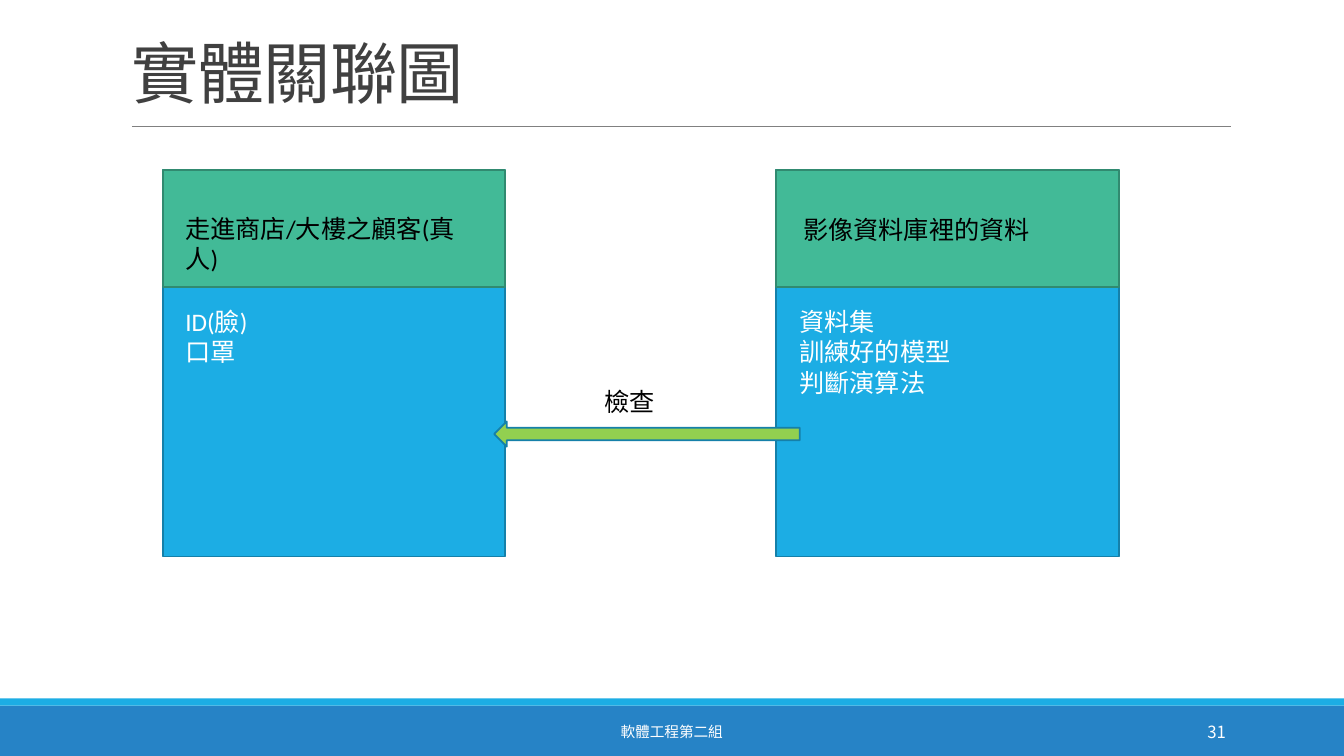
from pptx import Presentation
from pptx.dml.color import RGBColor
from pptx.enum.shapes import MSO_CONNECTOR, MSO_SHAPE
from pptx.enum.text import MSO_ANCHOR, MSO_AUTO_SIZE, PP_ALIGN
from pptx.util import Pt
from lxml.etree import SubElement
from pptx.oxml.ns import qn

HUES = {
    "blue": "1CADE4", "navy": "2683C6", "edge": "1580A9",
    "green": "42BA97", "pine": "318A70", "lime": "92D050",
    "gray": "808080", "dark": "404040", "black": "000000", "white": "FFFFFF",
}
CJK = "Noto Sans CJK SC"


class Deck:
    """Holds the style and the current slide, and draws each kind of element."""

    def __init__(self, wide, high):
        self.show = Presentation()
        self.show.slide_width, self.show.slide_height = Pt(wide), Pt(high)
        self.slide = self.show.slides.add_slide(self.show.slide_layouts[5])

    def hue(self, name):
        return RGBColor.from_string(HUES[name])

    def fill_in(self, frame, lines, size, hue, font, align):
        frame.word_wrap = True
        frame.text = "\n".join(lines)
        for para in frame.paragraphs:
            para.alignment = align
            para.font.size, para.font.name = Pt(size), font
            para.font.color.rgb = self.hue(hue)

    def title(self, text, box):
        head = self.slide.shapes.title
        head.left, head.top, head.width, head.height = map(Pt, box)
        frame = head.text_frame
        self.fill_in(frame, [text], 48, "dark", CJK, PP_ALIGN.LEFT)
        frame.auto_size = MSO_AUTO_SIZE.NONE
        frame.vertical_anchor = MSO_ANCHOR.BOTTOM
        para = frame.paragraphs[0]
        para.line_spacing = 0.85
        para.runs[0]._r.get_or_add_rPr().set("spc", "-50")

    def shape(self, box, fill, edge=None, kind=MSO_SHAPE.RECTANGLE):
        form = self.slide.shapes.add_shape(kind, *map(Pt, box))
        form.shadow.inherit = False
        form.fill.solid()
        form.fill.fore_color.rgb = self.hue(fill)
        if edge:
            form.line.color.rgb = self.hue(edge)
            form.line.width = Pt(1.25)
        else:
            form.line.fill.background()

    def rule(self, left, right, top):
        line = self.slide.shapes.add_connector(
            MSO_CONNECTOR.STRAIGHT, Pt(left), Pt(top), Pt(right), Pt(top))
        line.line.color.rgb = self.hue("gray")
        line.line.width = Pt(0.5)
        SubElement(line._element.spPr, qn("a:effectLst"))

    def text(self, box, lines, hue="black", size=18, font="Calibri",
             align=PP_ALIGN.LEFT, anchor=MSO_ANCHOR.TOP):
        frame = self.slide.shapes.add_textbox(*map(Pt, box)).text_frame
        self.fill_in(frame, lines, size, hue, font, align)
        frame.vertical_anchor = anchor

    def entity(self, left, name, place, items, inset):
        top, wide = 121.7, 244.8
        self.shape((left, top, wide, 275.8), "blue", "edge")
        self.shape((left, top, wide, 83.5), "green", "pine")
        self.text(place, [name])
        self.text((left + inset, 215.3, 216, 7.2 + 21.9 * len(items)), items, "white")

    def footer(self, left, wide, text, size, align):
        self.text((left, 508.3, wide, 28.8), [text], "white", size, CJK,
                  align, MSO_ANCHOR.MIDDLE)


def main():
    deck = Deck(960, 540)
    deck.shape((0, 504, 960, 36), "navy")
    deck.shape((0, 498.9, 960, 5.1), "blue")
    deck.rule(94.3, 879.1, 90.5)
    deck.title("實體關聯圖", (86.4, 12.2, 792, 71.3))
    deck.footer(290.2, 379.4, "軟體工程第二組", 10.5, PP_ALIGN.CENTER)
    deck.footer(779.8, 103, "31", 12, PP_ALIGN.RIGHT)
    deck.entity(116.2, "走進商店/大樓之顧客(真人)", (125.3, 149, 226, 29),
                ["ID(臉)", "口罩"], 9.1)
    deck.entity(554.4, "影像資料庫裡的資料", (566.6, 149.8, 220.3, 29),
                ["資料集", "訓練好的模型", "判斷演算法"], 9.4)
    deck.shape((353, 301, 218.2, 18), "lime", "edge", MSO_SHAPE.LEFT_ARROW)
    deck.text((424.8, 272.2, 131, 29), ["檢查"])
    deck.show.save("out.pptx")


if __name__ == "__main__":
    main()
